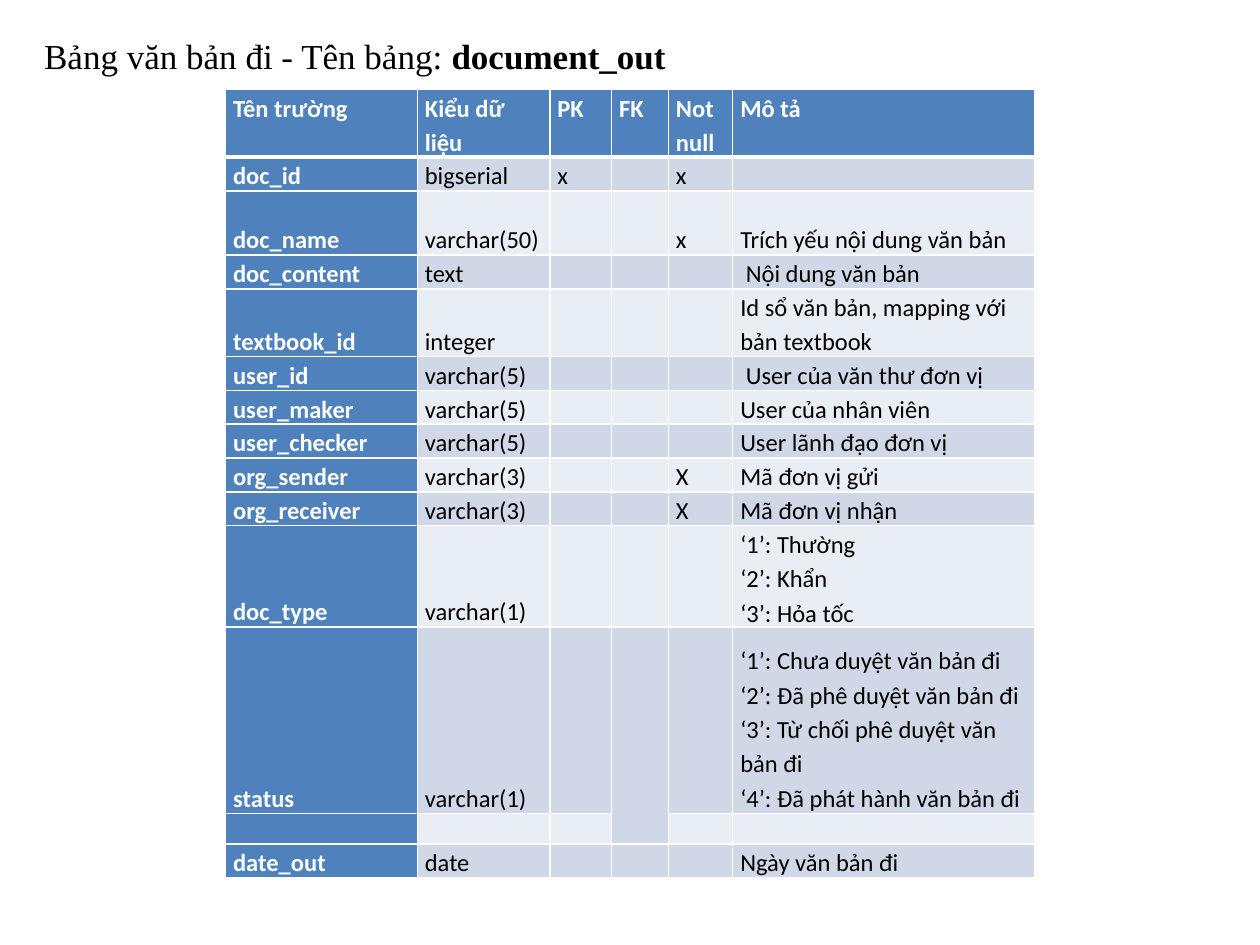
import lxml.etree
import pptx
import pptx.dml.color
import pptx.enum.text
import pptx.oxml.ns
import pptx.util

Inches = pptx.util.Inches
ANCHOR = pptx.enum.text.MSO_ANCHOR
HEADER_FILL = "4F81BD"
BAND_FILLS = ["D0D8E8", "E9EDF4"]

COLUMN_WIDTHS = [1.52, 1.05, 0.49, 0.45, 0.51, 2.39]
LINE_HEIGHT = 0.24
TALL_ROWS = {0: 0.51, 2: 0.51, 4: 0.51, 10: 0.77, 11: 1.48}
MERGED_ROWS = (11, 12)
FK_COLUMN = 3

FIELDS = [
    ["Tên trường", "Kiểu dữ liệu", "PK", "FK", "Not null", "Mô tả"],
    ["doc_id", "bigserial", "x", "", "x", ""],
    ["doc_name", "varchar(50)", "", "", "x", "Trích yếu nội dung văn bản"],
    ["doc_content", "text", "", "", "", " Nội dung văn bản"],
    ["textbook_id", "integer", "", "", "", "Id sổ văn bản, mapping với bản textbook"],
    ["user_id", "varchar(5)", "", "", "", " User của văn thư đơn vị"],
    ["user_maker", "varchar(5)", "", "", "", "User của nhân viên"],
    ["user_checker", "varchar(5)", "", "", "", "User lãnh đạo đơn vị"],
    ["org_sender", "varchar(3)", "", "", "X", "Mã đơn vị gửi"],
    ["org_receiver", "varchar(3)", "", "", "X", "Mã đơn vị nhận"],
    ["doc_type", "varchar(1)", "", "", "",
     "‘1’: Thường\n‘2’: Khẩn\n‘3’: Hỏa tốc"],
    ["status", "varchar(1)", "", "", "",
     "‘1’: Chưa duyệt văn bản đi\n‘2’: Đã phê duyệt văn bản đi\n"
     "‘3’: Từ chối phê duyệt văn bản đi\n‘4’: Đã phát hành văn bản đi"],
    ["", "", "", "", "", ""],
    ["date_out", "date", "", "", "", "Ngày văn bản đi"],
]


def rgb(hex_colour):
    return pptx.dml.color.RGBColor.from_string(hex_colour)


def add_text(paragraph, text, size=14, font="Calibri", colour="000000", bold=False):
    paragraph.line_spacing = 1.15
    paragraph.alignment = pptx.enum.text.PP_ALIGN.LEFT
    if not text:
        end = lxml.etree.SubElement(paragraph._p, pptx.oxml.ns.qn("a:endParaRPr"))
        end.set("sz", str(size * 100))
        latin = lxml.etree.SubElement(end, pptx.oxml.ns.qn("a:latin"))
        latin.set("typeface", font)
        return
    run = paragraph.add_run()
    run.text = text
    run.font.size = pptx.util.Pt(size)
    run.font.name = font
    run.font.bold = bold
    run.font.color.rgb = rgb(colour)


def set_borders(cell, **widths):
    properties = cell._tc.get_or_add_tcPr()
    for side in "LRTB":
        line = lxml.etree.SubElement(properties, pptx.oxml.ns.qn("a:ln" + side))
        line.set("w", str(pptx.util.Pt(widths.get(side, 1))))
        fill = lxml.etree.SubElement(line, pptx.oxml.ns.qn("a:solidFill"))
        lxml.etree.SubElement(fill, pptx.oxml.ns.qn("a:srgbClr")).set("val", "FFFFFF")


def format_cell(cell, text, row, column):
    heading = row == 0 or column == 0
    set_borders(cell, **{0: {"B": 3}, 1: {"T": 3}}.get(row, {}))
    cell.fill.solid()
    cell.fill.fore_color.rgb = rgb(HEADER_FILL if heading else BAND_FILLS[(row - 1) % 2])
    cell.margin_left = cell.margin_right = Inches(0.06)
    cell.margin_top = cell.margin_bottom = 0
    cell.vertical_anchor = ANCHOR.TOP if row == 0 else ANCHOR.BOTTOM
    frame = cell.text_frame
    for index, line in enumerate(text.split("\n")):
        paragraph = frame.add_paragraph() if index else frame.paragraphs[0]
        add_text(paragraph, line, colour="FFFFFF" if heading else "000000", bold=heading)


def place_title(slide, left, top, width, height):
    title = slide.shapes.title
    title.left, title.top, title.width, title.height = map(
        Inches, (left, top, width, height))
    frame = title.text_frame
    frame.word_wrap = True
    frame.auto_size = pptx.enum.text.MSO_AUTO_SIZE.SHAPE_TO_FIT_TEXT
    frame.vertical_anchor = ANCHOR.TOP
    paragraph = frame.paragraphs[0]
    paragraph.space_before = 0
    for text, bold in (("Bảng văn bản đi - Tên bảng: ", False), ("document_out", True)):
        add_text(paragraph, text, size=20, font="Times New Roman", bold=bold)


def place_field_table(slide, left, top, width, height):
    table = slide.shapes.add_table(
        len(FIELDS), len(COLUMN_WIDTHS), *map(Inches, (left, top, width, height))).table
    for column, share in zip(table.columns, COLUMN_WIDTHS):
        column.width = Inches(width * share / sum(COLUMN_WIDTHS))
    for row, texts in enumerate(FIELDS):
        table.rows[row].height = Inches(TALL_ROWS.get(row, LINE_HEIGHT))
        for column, text in enumerate(texts):
            format_cell(table.cell(row, column), text, row, column)
    first, last = MERGED_ROWS
    table.cell(first, FK_COLUMN).merge(table.cell(last, FK_COLUMN))


def main():
    deck = pptx.Presentation()
    deck.slide_width, deck.slide_height = Inches(10), Inches(7.5)
    slide = deck.slides.add_slide(deck.slide_layouts[5])
    place_title(slide, 0.25, 0.17, 6.08, 0.46)
    place_field_table(slide, 1.79, 0.71, 6.42, 6.08)
    deck.save("out.pptx")


if __name__ == "__main__":
    main()
